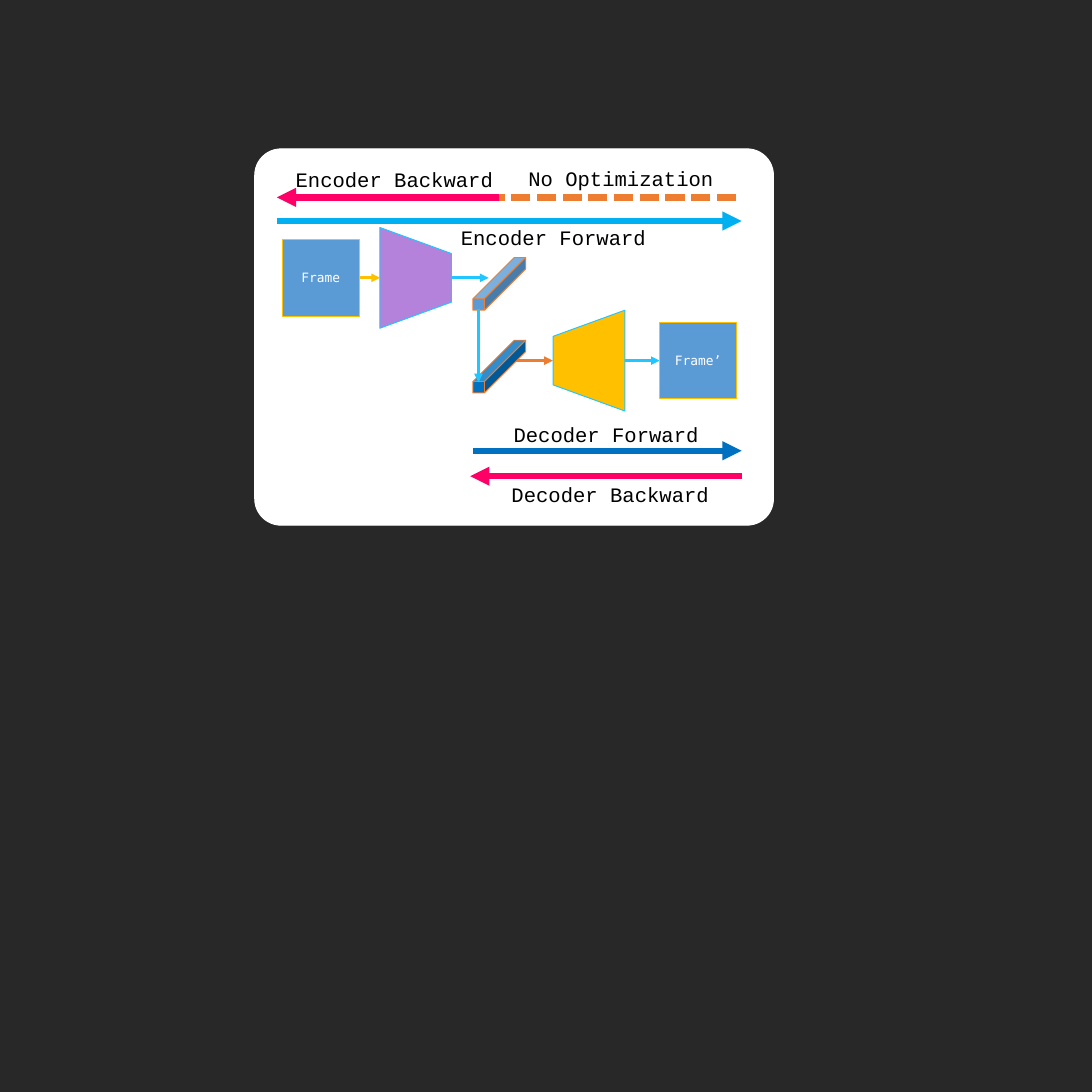
import pptx
import pptx.util
import pptx.dml.color
import pptx.enum.dml
import pptx.enum.shapes
import pptx.enum.text
import pptx.oxml
import pptx.oxml.ns

SIDE = 23.62
THEME = {
    "night": "282828", "white": "FFFFFF", "black": "000000",
    "blue": "5B9BD5", "deep": "0070C0", "sky": "00B0F0", "cyan": "21C5FF",
    "gold": "FFC000", "orange": "ED7D31", "violet": "B482DA", "pink": "FF0066",
    "mono": "DejaVu Sans Mono", "type": "Courier New",
    "small": 20, "large": 32, "edge": 1.5, "flow": 4.5, "pass": 10,
}

# Rows and columns of the network, as centre lines in inches
ROW = {"enc": 6.01, "dec": 7.8}
COL = {"frame": 6.94, "enc": 8.99, "code": 10.8, "dec": 12.74, "out": 15.1}
DROP = 0.13  # the code cubes hang a little below their row

# Kind: preset, width, height, adjustment
KIND = {
    "panel": ("ROUNDED_RECTANGLE", 11.22, 8.14, 0.07),
    "frame": ("PARALLELOGRAM", 1.65, 1.65, 0),
    "net": ("TRAPEZOID", 2.18, 1.55, 0.364),
    "code": ("CUBE", 1.14, 1.14, 0.783),
}

# Blocks: kind, centre x, centre y, fill, line, turn, text
PANEL = ("panel", 11.12, 7.29, "white", "white", 0, "")
BLOCKS = [
    ("frame", COL["frame"], ROW["enc"], "blue", "gold", 0, "Frame"),
    ("frame", COL["out"], ROW["dec"], "blue", "gold", 0, "Frame’"),
    ("net", COL["dec"], ROW["dec"], "gold", "cyan", 270, ""),
    ("net", COL["enc"], ROW["enc"], "violet", "cyan", 90, ""),
    ("code", COL["code"], ROW["dec"] + DROP, "deep", "orange", 0, ""),
    ("code", COL["code"], ROW["enc"] + DROP, "blue", "orange", 0, ""),
]

# Flows: start, end, colours from start to end
UNDER = [
    ((7.76, ROW["enc"]), (8.22, ROW["enc"]), ("gold", "cyan")),
    ((11.15, ROW["dec"]), (11.96, ROW["dec"]), ("orange", "cyan")),
    ((13.51, ROW["dec"]), (14.27, ROW["dec"]), ("cyan", "gold")),
]
OVER = [
    ((10.35, 6.68), (10.35, 8.27), ("cyan", "deep")),
    ((9.77, ROW["enc"]), (10.57, ROW["enc"]), ("cyan", "orange")),
]

# Passes: label, label centre x, label centre y, line y, from x, to x, colour
PASSES = [
    ("Encoder Forward", 11.97, 5.13, 4.78, 5.99, 16.04, "sky"),
    ("Encoder Backward", 8.53, 3.88, 4.27, 10.8, 5.99, "pink"),
    ("No Optimization", 13.43, 3.86, 4.27, 15.92, 10.8, "orange"),
    ("Decoder Forward", 13.11, 9.4, 9.75, 10.23, 16.04, "deep"),
    ("Decoder Backward", 13.2, 10.7, 10.3, 16.05, 10.17, "pink"),
]
DASHED = "No Optimization"
LABEL = (4.59, 0.59)

inch = pptx.util.Inches


def rgb(name):
    return pptx.dml.color.RGBColor.from_string(THEME[name])


def box(x, y, wide, high):
    return [inch(v) for v in (x - wide / 2, y - high / 2, wide, high)]


def write(shape, text, font, size, tint):
    frame = shape.text_frame
    frame.word_wrap = True
    frame.vertical_anchor = pptx.enum.text.MSO_ANCHOR.MIDDLE
    frame.text = text
    par = frame.paragraphs[0]
    par.alignment = pptx.enum.text.PP_ALIGN.CENTER
    face = par.runs[0].font
    face.name, face.size = THEME[font], pptx.util.Pt(THEME[size])
    face.color.rgb = rgb(tint)


def block(group, kind, x, y, fill, line, turn, text):
    name, wide, high, bend = KIND[kind]
    preset = getattr(pptx.enum.shapes.MSO_SHAPE, name)
    shape = group.add_shape(preset, *box(x, y, wide, high))
    shape.adjustments[0] = bend
    shape.rotation = turn
    shape.shadow.inherit = False
    shape.fill.solid()
    shape.fill.fore_color.rgb = rgb(fill)
    shape.line.color.rgb = rgb(line)
    shape.line.width = pptx.util.Pt(THEME["edge"])
    if text:
        write(shape, text, "mono", "small", "white")


def arrow(group, start, end, tints, width, dashed=False):
    ends = [inch(v) for v in (*start, *end)]
    link = group.add_connector(pptx.enum.shapes.MSO_CONNECTOR.STRAIGHT, *ends)
    line = link.line
    line.width = pptx.util.Pt(THEME[width])
    if len(tints) > 1:
        line.fill.gradient()
        for stop, tint in zip(line.fill.gradient_stops, tints):
            stop.color.rgb = rgb(tint)
    else:
        line.color.rgb = rgb(tints[0])
    props = link._element.spPr
    if dashed:
        line.dash_style = pptx.enum.dml.MSO_LINE.SQUARE_DOT
    else:
        head = pptx.oxml.parse_xml(
            "<a:tailEnd %s type='triangle'/>" % pptx.oxml.ns.nsdecls("a"))
        props.find(pptx.oxml.ns.qn("a:ln")).append(head)
    props.append(pptx.oxml.parse_xml(
        "<a:effectLst %s/>" % pptx.oxml.ns.nsdecls("a")))


deck = pptx.Presentation()
deck.slide_width = deck.slide_height = inch(SIDE)
slide = deck.slides.add_slide(deck.slide_layouts[6])
slide.background.fill.solid()
slide.background.fill.fore_color.rgb = rgb("night")
group = slide.shapes.add_group_shape().shapes

# Network: panel, flows beneath, blocks, flows on top
block(group, *PANEL)
for flow in UNDER:
    arrow(group, *flow, "flow")
for part in BLOCKS:
    block(group, *part)
for flow in OVER:
    arrow(group, *flow, "flow")

# Training passes with their labels
for text, x, y, level, left, right, tint in PASSES:
    arrow(group, (left, level), (right, level), (tint,), "pass", text == DASHED)
    write(group.add_textbox(*box(x, y, *LABEL)), text, "type", "large", "black")

deck.save("out.pptx")
